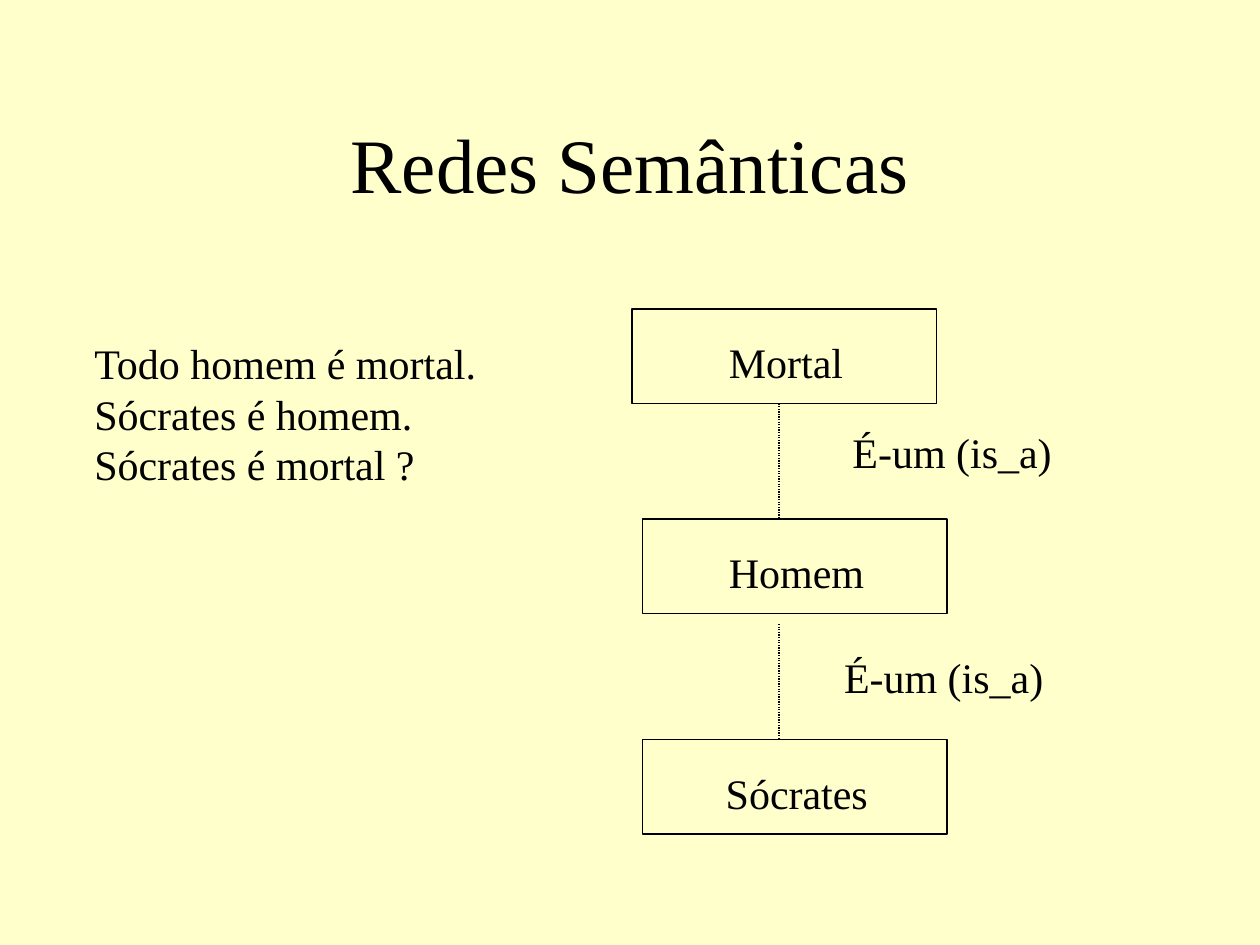
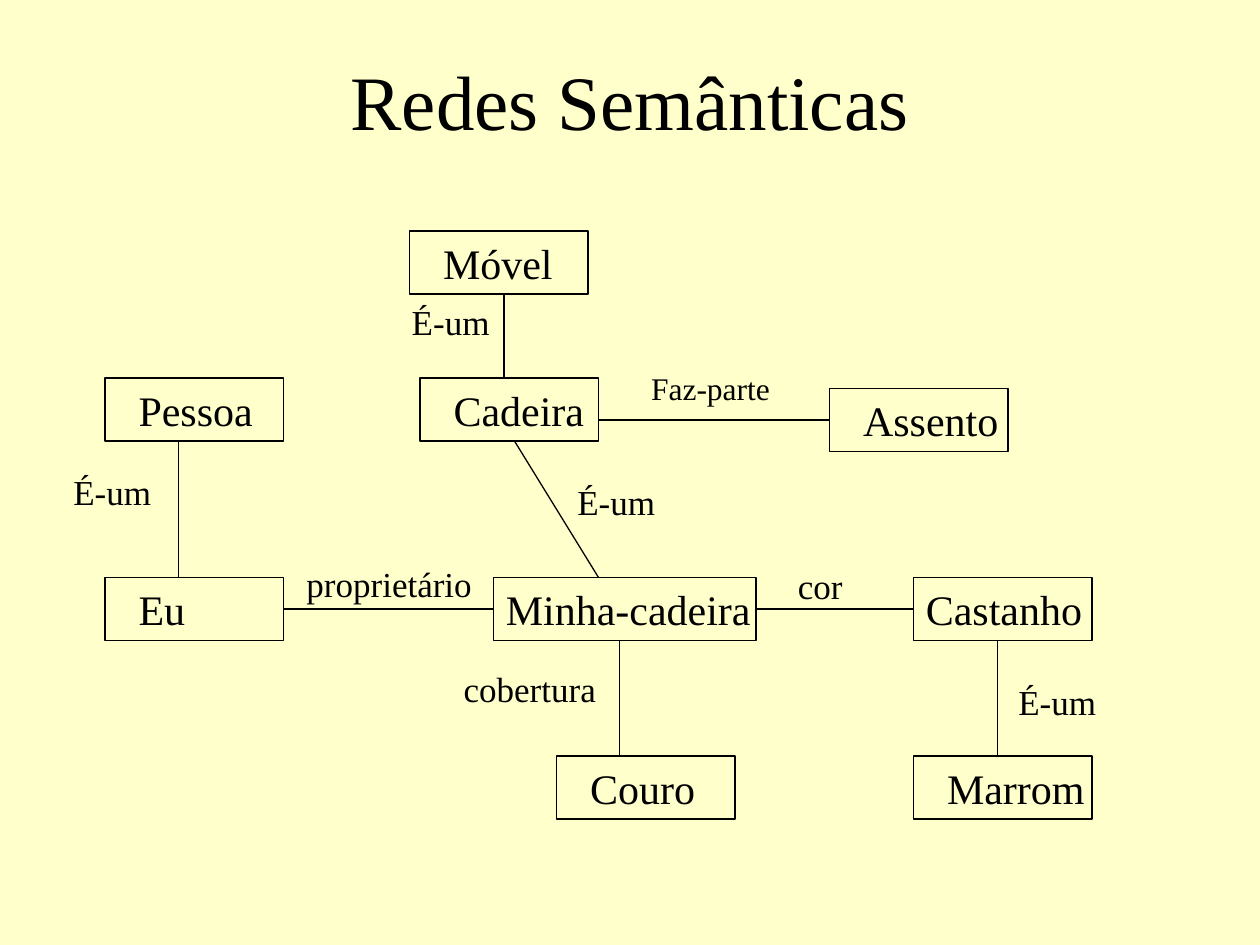
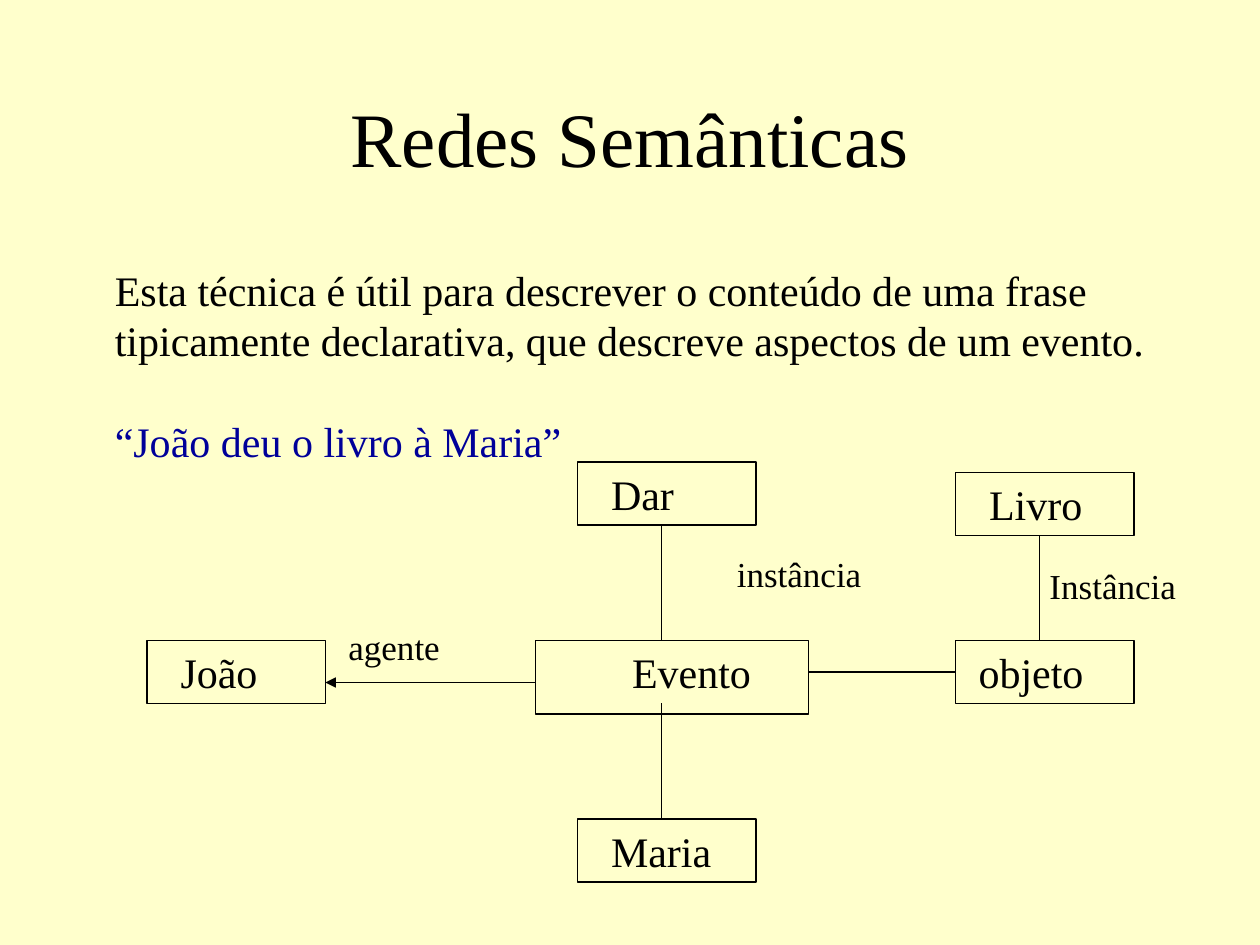
"""Build three slides on semantic networks."""
import pptx
import pptx.dml.color
import pptx.enum.dml
import pptx.enum.shapes
import pptx.enum.text
import pptx.oxml.ns
import pptx.util
from lxml import etree

Pt = pptx.util.Pt
ALIGN = pptx.enum.text.PP_ALIGN
ANCHOR = pptx.enum.text.MSO_ANCHOR
AUTO = pptx.enum.text.MSO_AUTO_SIZE
DOT = pptx.enum.dml.MSO_LINE.ROUND_DOT

COLORS = {"paper": "FFFFCC", "ink": "000000", "quote": "000099"}
FONT = "Times New Roman"
TITLE = "Redes Semânticas"
LEFT, RIGHT = 1, 3
NODE_W, NODE_H = 102, 36
PAD_X, PAD_Y = 7.2, 3.6
INDENT = 12 + PAD_X

TITLE_FRAME = {"word_wrap": True, "vertical_anchor": ANCHOR.MIDDLE}
LABEL_FRAME = {"word_wrap": False, "auto_size": AUTO.SHAPE_TO_FIT_TEXT,
               "vertical_anchor": ANCHOR.TOP}
NODE_FRAME = {"word_wrap": True, "vertical_anchor": ANCHOR.TOP,
              "margin_right": 0, "margin_bottom": 0}


def rgb(name):
    """Return a palette colour."""
    return pptx.dml.color.RGBColor.from_string(COLORS[name])


def apply(obj, formats):
    """Set every attribute in a dict of format values."""
    for name, value in formats.items():
        setattr(obj, name, value)


def write(tf, lines, size, align=ALIGN.LEFT):
    """Write one paragraph per line."""
    for i, line in enumerate(lines):
        p = tf.add_paragraph() if i else tf.paragraphs[0]
        p.alignment = align
        r = p.add_run()
        r.text = line
        apply(r.font, {"name": FONT, "size": Pt(size)})
        r.font.color.rgb = rgb("ink")


def add_slide(prs, title_top, title_height):
    """Add a blank slide with the shared title."""
    s = prs.slides.add_slide(prs.slide_layouts[6])
    tf = s.shapes.add_textbox(Pt(54), Pt(title_top), Pt(612), Pt(title_height)).text_frame
    apply(tf, TITLE_FRAME)
    write(tf, [TITLE], 44, ALIGN.CENTER)
    return s


def add_text(s, x, y, width, lines, size=20):
    """Add free text and return its frame."""
    height = 1.2 * size * len(lines) + 2 * PAD_Y
    tf = s.shapes.add_textbox(Pt(x), Pt(y), Pt(width), Pt(height)).text_frame
    apply(tf, LABEL_FRAME)
    write(tf, lines, size)
    return tf


def add_node(s, text, x, y, width=NODE_W, height=NODE_H, indent=INDENT, top=PAD_Y):
    """Add an outlined concept box with its name inside."""
    sp = s.shapes.add_shape(pptx.enum.shapes.MSO_SHAPE.RECTANGLE,
                            Pt(x), Pt(y), Pt(width), Pt(height))
    sp.shadow.inherit = False
    sp.fill.background()
    sp.line.color.rgb = rgb("ink")
    sp.line.width = Pt(0.75)
    apply(sp.text_frame, {**NODE_FRAME, "margin_left": Pt(indent), "margin_top": Pt(top)})
    write(sp.text_frame, [text], 24)
    return sp


def add_link(s, x1, y1, x2, y2, begin=None, end=None, dash=None, arrow=False):
    """Add a straight link, joined to nodes where given."""
    sp = s.shapes.add_connector(pptx.enum.shapes.MSO_CONNECTOR.STRAIGHT,
                                Pt(x1), Pt(y1), Pt(x2), Pt(y2))
    if begin:
        sp.begin_connect(begin, RIGHT)
    if end:
        sp.end_connect(end, LEFT)
    sp.line.color.rgb = rgb("ink")
    apply(sp.line, {"width": Pt(0.75), "dash_style": dash})
    if arrow:
        ln = sp.line._get_or_add_ln()
        etree.SubElement(ln, pptx.oxml.ns.qn("a:tailEnd"), type="triangle")
    etree.SubElement(sp._element.spPr, pptx.oxml.ns.qn("a:effectLst"))


def socrates_slide(prs):
    """Show the syllogism and its chain of concepts."""
    s = add_slide(prs, 48, 90)
    for text, x, y, indent in [("Mortal", 361.2, 176.6, 55.3),
                               ("Homem", 367.2, 296.6, 49.3),
                               ("Sócrates", 367.2, 422.6, 47.5)]:
        add_node(s, text, x, y, 174, 54, indent, 15.7)
    for top in (230.6, 356.6):
        add_link(s, 445.2, top, 445.2, top + 66, dash=DOT)
    for x, y in [(480, 240), (475.2, 368.6)]:
        add_text(s, x, y, 132, ["É-um (is_a)"], 24)
    add_text(s, 46.8, 189.4, 236,
             ["Todo homem é mortal.", "Sócrates é homem.", "Sócrates é mortal ?"], 24)


def chair_slide(prs):
    """Show the network around a chair."""
    s = add_slide(prs, 24, 66)
    for text, x, y in [("Pessoa", 60, 216), ("Móvel", 234, 132), ("Cadeira", 240, 216),
                       ("Assento", 474, 222), ("Couro", 318, 432), ("Marrom", 522, 432)]:
        add_node(s, text, x, y)
    me = add_node(s, "Eu", 60, 330)
    chair = add_node(s, "Minha-cadeira", 282, 330, 150, indent=PAD_X)
    brown = add_node(s, "Castanho", 522, 330, indent=PAD_X)
    add_link(s, 162, 348, 282, 348, me, chair)
    add_link(s, 432, 348, 522, 348, chair, brown)
    for ends in [(570, 366, 570, 432), (354, 366, 354, 432), (102, 330, 102, 252),
                 (342, 330, 294, 252), (474, 240, 342, 240), (288, 216, 288, 168)]:
        add_link(s, *ends)
    for text, x, y, width in [("cor", 448.8, 319, 43), ("cobertura", 257.8, 378, 93),
                              ("proprietário", 168, 318, 112)]:
        add_text(s, x, y, width, [text])
    for x, y in [(574.8, 385.2), (34.8, 265.2), (322.8, 271.2), (228.2, 168)]:
        add_text(s, x, y, 62, ["É-um"])
    add_text(s, 365, 207.4, 86, ["Faz-parte"], 18)


def event_slide(prs):
    """Show a sentence as an event network."""
    s = add_slide(prs, 48, 60)
    tf = add_text(s, 58.5, 147.6, 605,
                  ["Esta técnica é útil para descrever o conteúdo de uma frase",
                   "tipicamente declarativa, que descreve aspectos de um evento.",
                   "“João deu o livro à Maria”"], 24)
    quote = tf.paragraphs[-1]
    quote.space_before = Pt(28.8)
    quote.runs[0].font.color.rgb = rgb("quote")
    for text, x, y in [("João", 84, 366), ("Dar", 330, 264),
                       ("Maria", 330, 468), ("Livro", 546, 270)]:
        add_node(s, text, x, y)
    add_node(s, "Evento", 306, 366, 156, 42, 55.2)
    thing = add_node(s, "objeto", 546, 366, indent=13.2)
    add_link(s, 462, 384, 546, 384, end=thing)
    add_link(s, 306, 390, 186, 390, arrow=True)
    for ends in [(378, 402, 378, 468), (378, 300, 378, 366), (594, 306, 594, 366)]:
        add_link(s, *ends)
    for text, x, y, width in [("agente", 192, 354, 70), ("instância", 414, 312, 89),
                              ("Instância", 592.6, 319, 90)]:
        add_text(s, x, y, width, [text])


def main():
    """Build and save the presentation."""
    prs = pptx.Presentation()
    apply(prs, {"slide_width": Pt(720), "slide_height": Pt(540)})
    fill = prs.slide_master.background.fill
    fill.solid()
    fill.fore_color.rgb = rgb("paper")
    socrates_slide(prs)
    chair_slide(prs)
    event_slide(prs)
    prs.save("out.pptx")


if __name__ == "__main__":
    main()
